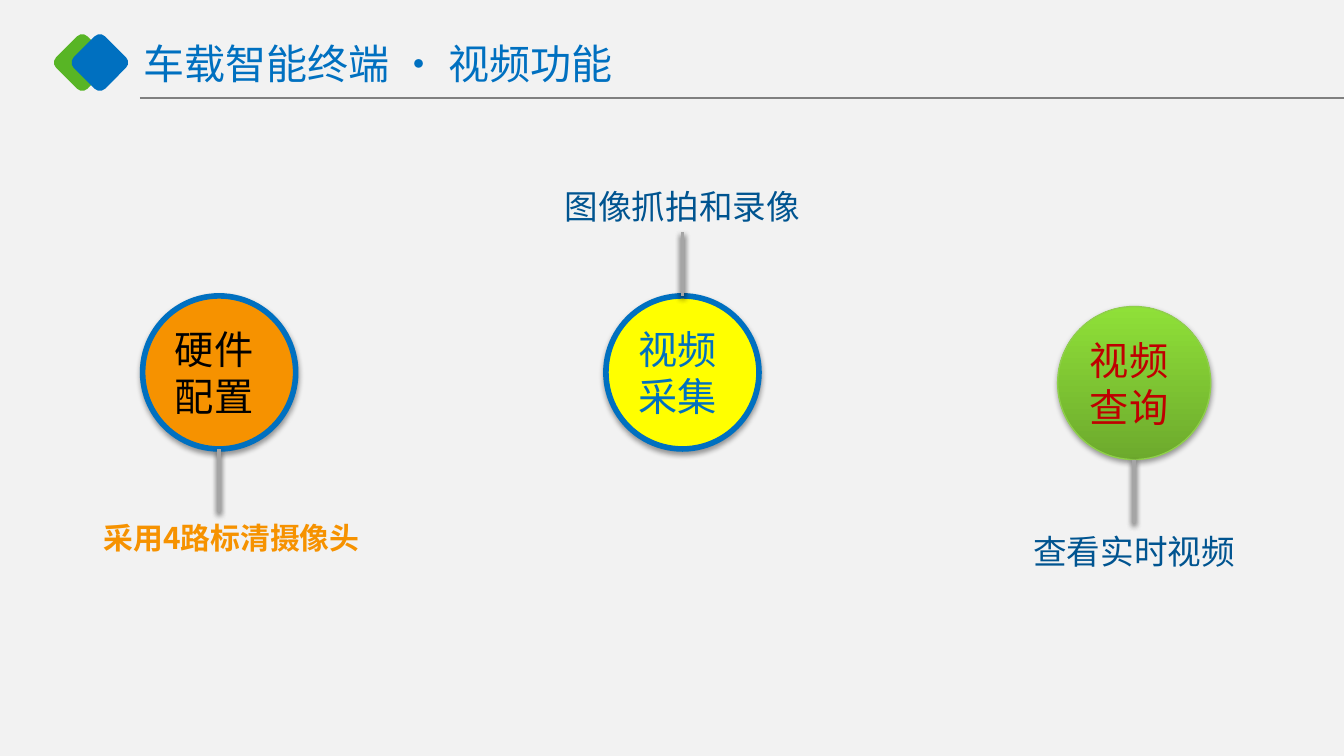
from lxml import etree
from pptx import Presentation
from pptx.dml.color import RGBColor
from pptx.enum.shapes import MSO_CONNECTOR, MSO_SHAPE
from pptx.enum.text import MSO_ANCHOR, PP_ALIGN
from pptx.oxml import parse_xml
from pptx.oxml.ns import nsdecls, qn
from pptx.util import Pt

RECT, ROUNDED, ELLIPSE = MSO_SHAPE.RECTANGLE, MSO_SHAPE.ROUNDED_RECTANGLE, MSO_SHAPE.OVAL
STRAIGHT = MSO_CONNECTOR.STRAIGHT
MIDDLE, CENTER, LEFT = MSO_ANCHOR.MIDDLE, PP_ALIGN.CENTER, PP_ALIGN.LEFT

PAPER = RGBColor(0xF2, 0xF2, 0xF2)
BLUE = RGBColor(0x00, 0x70, 0xC0)
NAVY = RGBColor(0x00, 0x54, 0x90)
GREEN = RGBColor(0x58, 0xB5, 0x25)
LEAF_DARK = RGBColor(0x6D, 0xAA, 0x2D)
LEAF_LIGHT = RGBColor(0x8F, 0xE0, 0x38)
LEAF_EDGE = RGBColor(0x8F, 0xCF, 0x4B)
ORANGE = RGBColor(0xF6, 0x92, 0x00)
YELLOW = RGBColor(0xFF, 0xFF, 0x00)
RED = RGBColor(0xBF, 0x00, 0x00)
BLACK = RGBColor(0x00, 0x00, 0x00)
GRAY = RGBColor(0x80, 0x80, 0x80)
SILVER = RGBColor(0xA5, 0xA5, 0xA5)

CJK_FONT = "Noto Sans CJK SC"
WIDTH, HEIGHT = 720, 405
DIAMETER = 82
STEM = 34


def add_effects(sp, shadow=True):
    """Give sp a soft shadow below it, or an empty effect list."""
    outer = (f'<a:outerShdw blurRad="{Pt(3.1)}" dist="{Pt(1.6)}" dir="5400000" rotWithShape="0">'
             '<a:srgbClr val="000000"><a:alpha val="38000"/></a:srgbClr></a:outerShdw>')
    sp._element.spPr.append(parse_xml(
        f'<a:effectLst {nsdecls("a")}>{outer if shadow else ""}</a:effectLst>'))


def format_text(tf, size, color, font=CJK_FONT, bold=False, align=LEFT):
    tf.word_wrap = True
    for p in tf.paragraphs:
        p.alignment = align
        for r in p.runs:
            r.font.size = Pt(size)
            r.font.bold = bold
            r.font.color.rgb = color
            r.font.name = font
            etree.SubElement(r.font._element, qn("a:ea"), typeface=CJK_FONT)


def set_insets(tf):
    tf.margin_left = tf.margin_right = Pt(5.3)
    tf.margin_top = tf.margin_bottom = Pt(2.65)
    tf.vertical_anchor = MIDDLE


def add_plain(slide, kind, x, y, w, h, color, rotation=0):
    sp = slide.shapes.add_shape(kind, Pt(x), Pt(y), Pt(w), Pt(h))
    sp.shadow.inherit = False
    sp.rotation = rotation
    sp.fill.solid()
    sp.fill.fore_color.rgb = color
    sp.line.fill.background()


def add_line(slide, x1, y1, x2, y2, color, width, shadow):
    line = slide.shapes.add_connector(STRAIGHT, Pt(x1), Pt(y1), Pt(x2), Pt(y2))
    line.line.color.rgb = color
    line.line.width = Pt(width)
    add_effects(line, shadow)


def add_stem(slide, x, y):
    """Silver stem over a black one, whose edge shows at the tip."""
    for color in (BLACK, SILVER):
        add_line(slide, x, y, x, y + STEM, color, 2, True)


def add_text(slide, x, y, w, h, text, size, color, bold=False, align=CENTER):
    tf = slide.shapes.add_textbox(Pt(x), Pt(y), Pt(w), Pt(h)).text_frame
    tf.text = text
    format_text(tf, size, color, bold=bold, align=align)
    return tf


def add_circle(slide, center, top, text, color, fills, edge, edge_width):
    """Draw a labelled circle; two fill colours run from bottom to top."""
    sp = slide.shapes.add_shape(ELLIPSE, Pt(center - DIAMETER / 2), Pt(top),
                                Pt(DIAMETER), Pt(DIAMETER))
    if len(fills) > 1:
        sp.fill.gradient()
        sp.fill.gradient_angle = 90
        for stop, stop_color in zip(sp.fill.gradient_stops, fills):
            stop.color.rgb = stop_color
    else:
        sp.fill.solid()
        sp.fill.fore_color.rgb = fills[0]
    sp.line.color.rgb = edge
    sp.line.width = Pt(edge_width)
    add_effects(sp)
    tf = sp.text_frame
    tf.text = text
    set_insets(tf)
    format_text(tf, 21, color, font="Arial")


def add_header(slide):
    add_line(slide, 75, 52.6, WIDTH, 52.6, GRAY, 0.75, False)
    for x, color in ((32.2, GREEN), (41.6, BLUE)):
        add_plain(slide, ROUNDED, x, 21.6, 23.8, 23.8, color, 315)
    set_insets(add_text(slide, 71.6, 21, 464, 26, "车载智能终端 • 视频功能", 22, BLUE, align=LEFT))


def main():
    prs = Presentation()
    prs.slide_width, prs.slide_height = Pt(WIDTH), Pt(HEIGHT)
    slide = prs.slides.add_slide(prs.slide_layouts[6])
    add_plain(slide, RECT, 0, 0, WIDTH, HEIGHT, PAPER)
    add_header(slide)

    hardware, capture, query = 117.4, 365.6, 607.6
    top, query_top = 158.5, 164.2
    add_circle(slide, hardware, top, "硬件\n配置", BLACK, [ORANGE], BLUE, 3)
    add_circle(slide, capture, top, "视频采集", BLUE, [YELLOW], BLUE, 3)
    add_circle(slide, query, query_top, "视频查询", RED, [LEAF_DARK, LEAF_LIGHT], LEAF_EDGE, 0.75)

    add_stem(slide, hardware, top + DIAMETER)
    add_stem(slide, capture, top - STEM)
    add_stem(slide, query, query_top + DIAMETER)

    add_text(slide, 48.2, 275, 152, 26.6, "采用4路标清摄像头", 16, ORANGE, bold=True)
    add_text(slide, 295.2, 95.8, 140.6, 29, "图像抓拍和录像", 18, NAVY)
    add_text(slide, 546.4, 280.8, 122.4, 29, "查看实时视频", 18, NAVY)
    prs.save("out.pptx")


if __name__ == "__main__":
    main()
